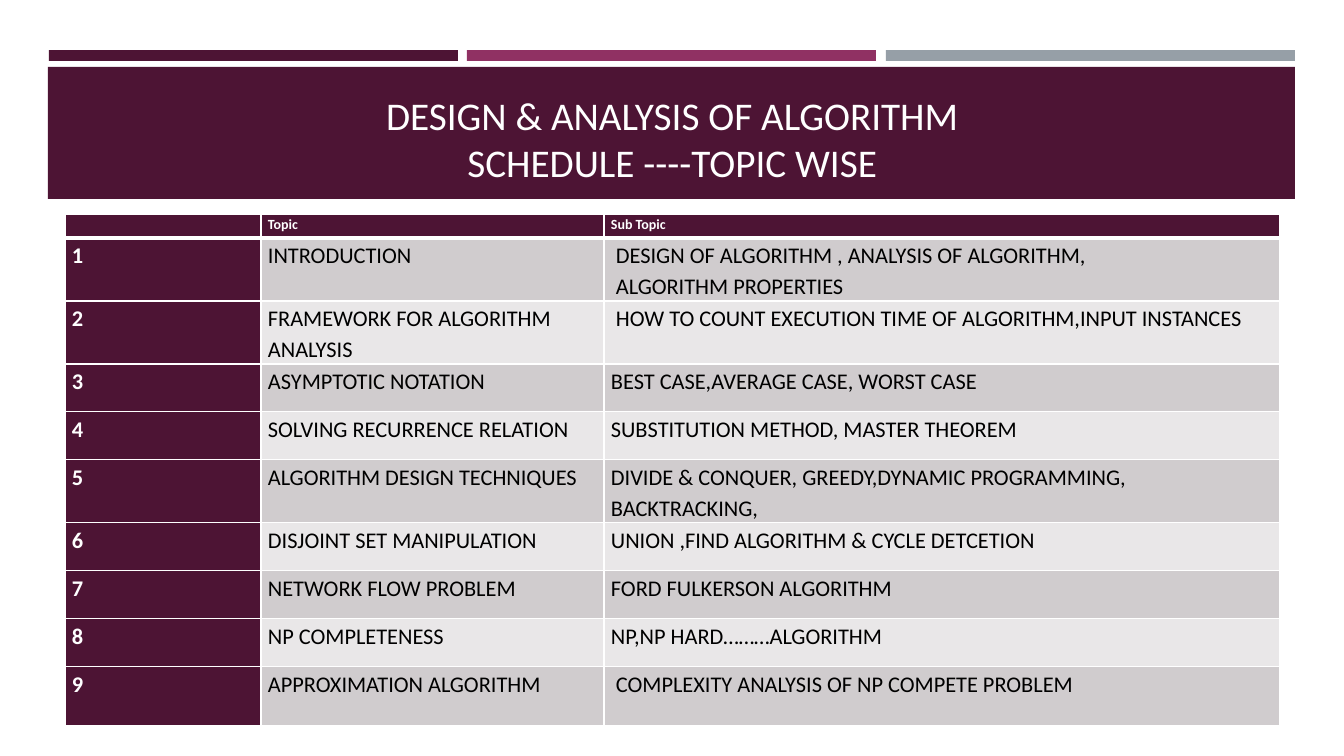
import pptx
import pptx.util
import pptx.dml.color
import pptx.enum.shapes
import pptx.enum.text
import pptx.oxml
import pptx.oxml.ns

RGBColor = pptx.dml.color.RGBColor
PLUM = RGBColor(0x4D, 0x14, 0x34)
MAGENTA = RGBColor(0x90, 0x31, 0x63)
GRAY = RGBColor(0x96, 0x9F, 0xA7)
DARK_BAND = RGBColor(0xD0, 0xCC, 0xCE)
LIGHT_BAND = RGBColor(0xE9, 0xE7, 0xE8)
WHITE = RGBColor(0xFF, 0xFF, 0xFF)
BLACK = RGBColor(0, 0, 0)
FONT = "Calibri"
SCALE = 914400 / 100.8


def px(length):
    return pptx.util.Emu(round(length * SCALE))


def add_border(cell, side, points):
    line = pptx.oxml.parse_xml(
        f'<a:{side} {pptx.oxml.ns.nsdecls("a")} w="{points * 12700}">'
        f'<a:solidFill><a:srgbClr val="{WHITE}"/></a:solidFill></a:{side}>'
    )
    cell._tc.get_or_add_tcPr().append(line)


deck = pptx.Presentation()
deck.slide_width = px(1344)
deck.slide_height = px(756)
page = deck.slides.add_slide(deck.slide_layouts[6])

bands = [
    (49, 50, 409, 11, PLUM),
    (467, 50, 409, 11, MAGENTA),
    (886, 50, 409, 11, GRAY),
    (48, 67, 1247, 132, PLUM),
]
for left, top, width, height, color in bands:
    band = page.shapes.add_shape(
        pptx.enum.shapes.MSO_SHAPE.RECTANGLE, px(left), px(top), px(width), px(height)
    )
    band.shadow.inherit = False
    band.fill.solid()
    band.fill.fore_color.rgb = color
    band.line.fill.background()

title = page.shapes.add_textbox(px(64), px(78), px(1216), px(112)).text_frame
title.word_wrap = True
title.vertical_anchor = pptx.enum.text.MSO_ANCHOR.BOTTOM
title.text = "DESIGN & ANALYSIS OF ALGORITHM\vSCHEDULE ----TOPIC WISE"
heading = title.paragraphs[0]
heading.alignment = pptx.enum.text.PP_ALIGN.CENTER
heading.font.name = FONT
heading.font.size = pptx.util.Pt(28)
heading.font.color.rgb = WHITE

topics = [
    ("INTRODUCTION", " DESIGN OF ALGORITHM , ANALYSIS OF ALGORITHM,\n ALGORITHM PROPERTIES"),
    ("FRAMEWORK FOR ALGORITHM ANALYSIS",
     " HOW TO COUNT EXECUTION TIME OF ALGORITHM,INPUT INSTANCES"),
    ("ASYMPTOTIC NOTATION", "BEST CASE,AVERAGE CASE, WORST CASE"),
    ("SOLVING RECURRENCE RELATION", "SUBSTITUTION METHOD, MASTER THEOREM"),
    ("ALGORITHM DESIGN TECHNIQUES",
     "DIVIDE & CONQUER, GREEDY,DYNAMIC PROGRAMMING, BACKTRACKING,"),
    ("DISJOINT SET MANIPULATION", "UNION ,FIND ALGORITHM & CYCLE DETCETION"),
    ("NETWORK FLOW PROBLEM", "FORD FULKERSON ALGORITHM"),
    ("NP COMPLETENESS", "NP,NP HARD………ALGORITHM"),
    ("APPROXIMATION ALGORITHM", " COMPLEXITY ANALYSIS OF NP COMPETE PROBLEM"),
]
rows = [("", "Topic", "Sub Topic")]
rows += [(str(number), *topic) for number, topic in enumerate(topics, 1)]
column_widths = [196, 343, 676]
row_heights = [24, 63, 63, 48, 48, 63, 48, 48, 48, 59]

schedule = page.shapes.add_table(
    len(rows), len(column_widths), px(65), px(214), px(sum(column_widths)), px(sum(row_heights))
).table
for column, width in zip(schedule.columns, column_widths):
    column.width = px(width)

for row_index, (texts, height) in enumerate(zip(rows, row_heights)):
    schedule.rows[row_index].height = px(height)
    for column_index, text in enumerate(texts):
        cell = schedule.cell(row_index, column_index)
        is_header = row_index == 0 or column_index == 0
        cell.margin_left = cell.margin_right = px(7)
        cell.margin_top = cell.margin_bottom = 0
        cell.text = text
        for para in cell.text_frame.paragraphs:
            para.line_spacing = 1.15
            para.font.name = FONT
            para.font.size = pptx.util.Pt(10 if row_index == 0 else 16)
            para.font.bold = is_header
            para.font.color.rgb = WHITE if is_header else BLACK
        for side in ("lnL", "lnR", "lnT", "lnB"):
            under_header = (row_index, side) in ((0, "lnB"), (1, "lnT"))
            add_border(cell, side, 3 if under_header else 1)
        cell.fill.solid()
        if is_header:
            cell.fill.fore_color.rgb = PLUM
        else:
            cell.fill.fore_color.rgb = DARK_BAND if row_index % 2 else LIGHT_BAND

deck.save("out.pptx")
